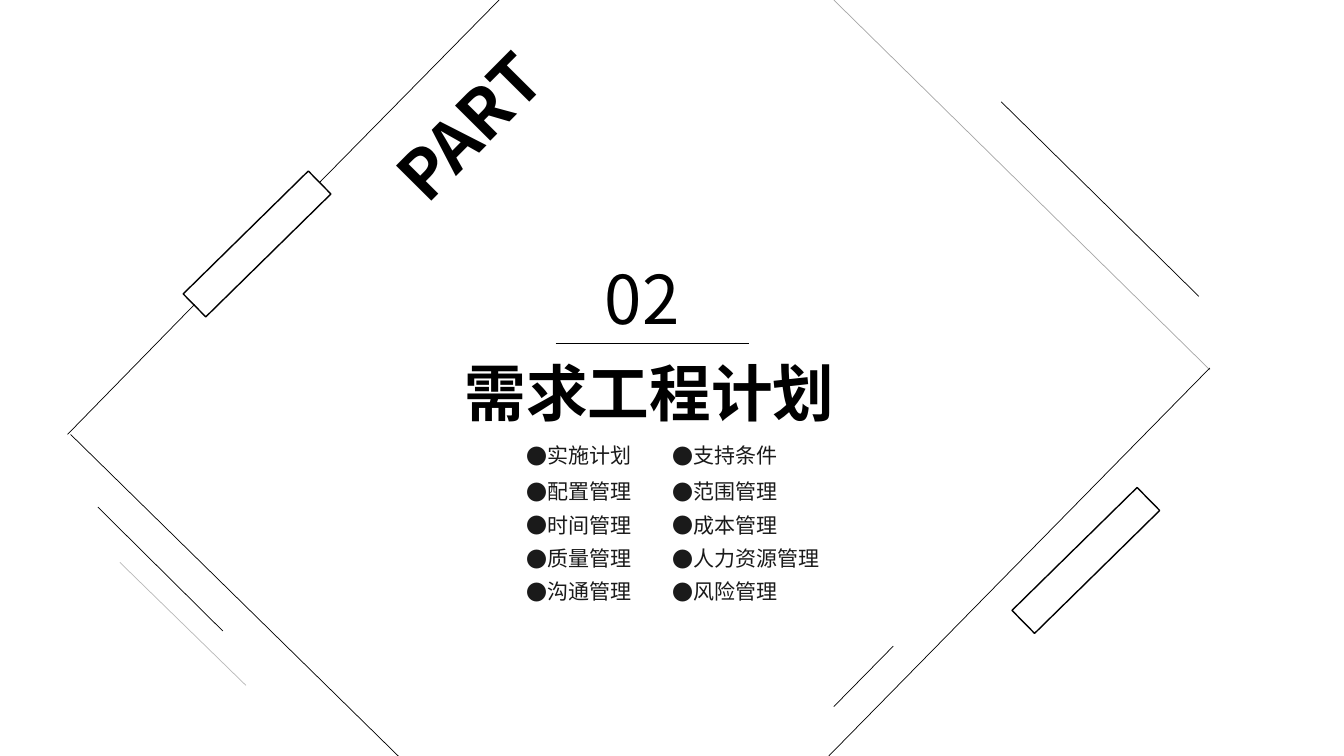
from lxml import etree
from pptx import Presentation
from pptx.dml.color import RGBColor
from pptx.enum.shapes import MSO_CONNECTOR, MSO_SHAPE
from pptx.enum.text import MSO_AUTO_SIZE, PP_ALIGN
from pptx.oxml.ns import qn
from pptx.util import Inches, Pt

STRAIGHT = MSO_CONNECTOR.STRAIGHT
RECTANGLE = MSO_SHAPE.RECTANGLE
FIT_SHAPE = MSO_AUTO_SIZE.SHAPE_TO_FIT_TEXT
LEFT, JUSTIFY = PP_ALIGN.LEFT, PP_ALIGN.JUSTIFY

FONT = "Noto Sans CJK SC"
BLACK, INK = "000000", "1A1A1A"

# from x, from y, to x, to y, opacity in percent
LINES = [
    (4.95, 0, 3.17, 1.81, 100),
    (3.95, 7.5, 0.7, 4.31, 100),
    (12, 3.67, 8.27, 0, 34),
    (11.89, 2.94, 9.93, 1.01, 100),
    (12, 3.65, 8.22, 7.5, 100),
    (2.21, 6.26, 0.97, 5.03, 100),
    (2.44, 6.8, 1.19, 5.58, 28),
    (8.86, 6.41, 8.27, 7.01, 100),
    (1.93, 3.02, 0.67, 4.31, 100),
    (5.51, 3.41, 7.43, 3.41, 100),
]
BARS = [(1.68, 2.26), (9.9, 5.4)]
BAR_SIZE, BAR_ROTATION = (1.74, 0.32), 315.5

# text, box, rotation, wrap, alignment, font
HEADINGS = [
    ("PART", (3.62, 0.59, 2.47, 0.91), 314.8, True, JUSTIFY, {"size": Pt(48), "bold": True}),
    ("需求工程计划", (4.51, 3.47, 3.9, 0.84), 0, False, LEFT, {"size": Pt(44), "bold": True}),
    ("02", (5.9, 2.5, 1.12, 0.91), 0, True, JUSTIFY, {"size": Pt(48), "bold": False}),
]
TOPICS = [
    ("实施计划", "支持条件"),
    ("配置管理", "范围管理"),
    ("时间管理", "成本管理"),
    ("质量管理", "人力资源管理"),
    ("沟通管理", "风险管理"),
]
COLUMN_LEFTS = (5.22, 6.67)
FIRST_TOPIC_TOP, SECOND_TOPIC_TOP, TOPIC_PITCH = 4.39, 4.75, 0.33
TOPIC_SIZE, TOPIC_INDENT = (1.46, 0.25), 0.19


def color(hex_text):
    return RGBColor.from_string(hex_text)


def add_line(slide, x1, y1, x2, y2, opacity):
    line = slide.shapes.add_connector(STRAIGHT, *map(Inches, (x1, y1, x2, y2)))
    line.line.width = Pt(0.5)
    line.line.color.rgb = color(BLACK)
    properties = line._element.spPr
    if opacity < 100:
        tint = properties.find(".//" + qn("a:srgbClr"))
        etree.SubElement(tint, qn("a:alpha"), val=str(opacity * 1000))
    etree.SubElement(properties, qn("a:effectLst"))


def add_bar(slide, left, top):
    bar = slide.shapes.add_shape(RECTANGLE, *map(Inches, (left, top, *BAR_SIZE)))
    bar.rotation = BAR_ROTATION
    bar.shadow.inherit = False
    bar.fill.background()
    bar.line.width = Pt(1)
    bar.line.color.rgb = color(BLACK)


def add_text(slide, text, box, alignment, font, ink, wrap=True, rotation=0):
    """Add a one-paragraph text box and return it."""
    shape = slide.shapes.add_textbox(*map(Inches, box))
    shape.rotation = rotation
    frame = shape.text_frame
    frame.word_wrap = wrap
    frame.auto_size = FIT_SHAPE
    paragraph = frame.paragraphs[0]
    paragraph.alignment = alignment
    run = paragraph.add_run()
    run.text = text
    for name, value in {"name": FONT, **font}.items():
        setattr(run.font, name, value)
    run.font.color.rgb = color(ink)
    etree.SubElement(run._r.get_or_add_rPr(), qn("a:ea"), typeface=FONT)
    return shape


def add_topic(slide, text, left, top):
    shape = add_text(slide, text, (left, top, *TOPIC_SIZE), LEFT, {"size": Pt(15)}, INK)
    frame = shape.text_frame
    for side in ("left", "top", "right", "bottom"):
        setattr(frame, f"margin_{side}", 0)
    properties = frame.paragraphs[0]._p.get_or_add_pPr()
    properties.set("marL", str(Inches(TOPIC_INDENT)))
    properties.set("indent", str(-Inches(TOPIC_INDENT)))
    etree.SubElement(properties, qn("a:buFont"), typeface=FONT)
    etree.SubElement(properties, qn("a:buChar"), char="●")


def main():
    presentation = Presentation()
    presentation.slide_width = Inches(13.33)
    presentation.slide_height = Inches(7.5)
    slide = presentation.slides.add_slide(presentation.slide_layouts[6])

    for line in LINES:
        add_line(slide, *line)
    for bar in BARS:
        add_bar(slide, *bar)
    for text, box, rotation, wrap, alignment, font in HEADINGS:
        add_text(slide, text, box, alignment, font, BLACK, wrap, rotation)
    for row, topics in enumerate(TOPICS):
        top = SECOND_TOPIC_TOP + (row - 1) * TOPIC_PITCH if row else FIRST_TOPIC_TOP
        for left, topic in zip(COLUMN_LEFTS, topics):
            add_topic(slide, topic, left, top)

    presentation.save("out.pptx")


if __name__ == "__main__":
    main()
